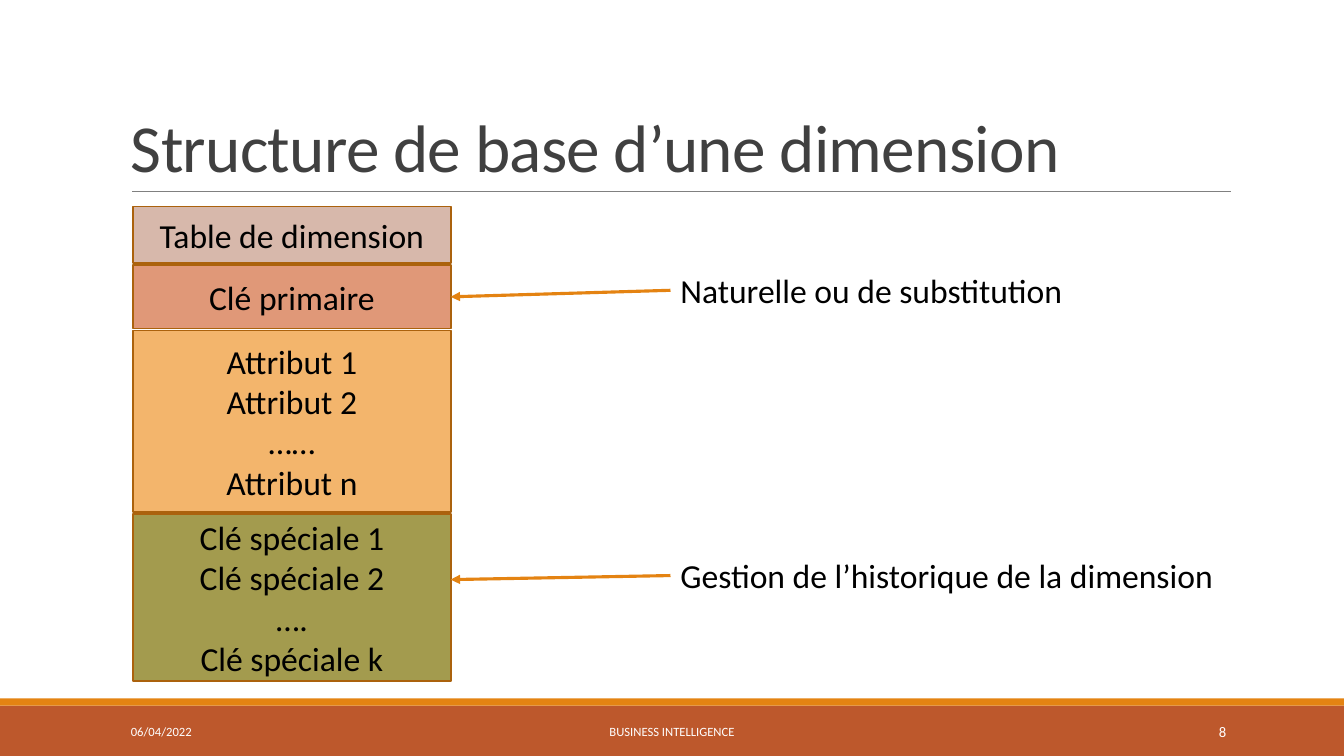
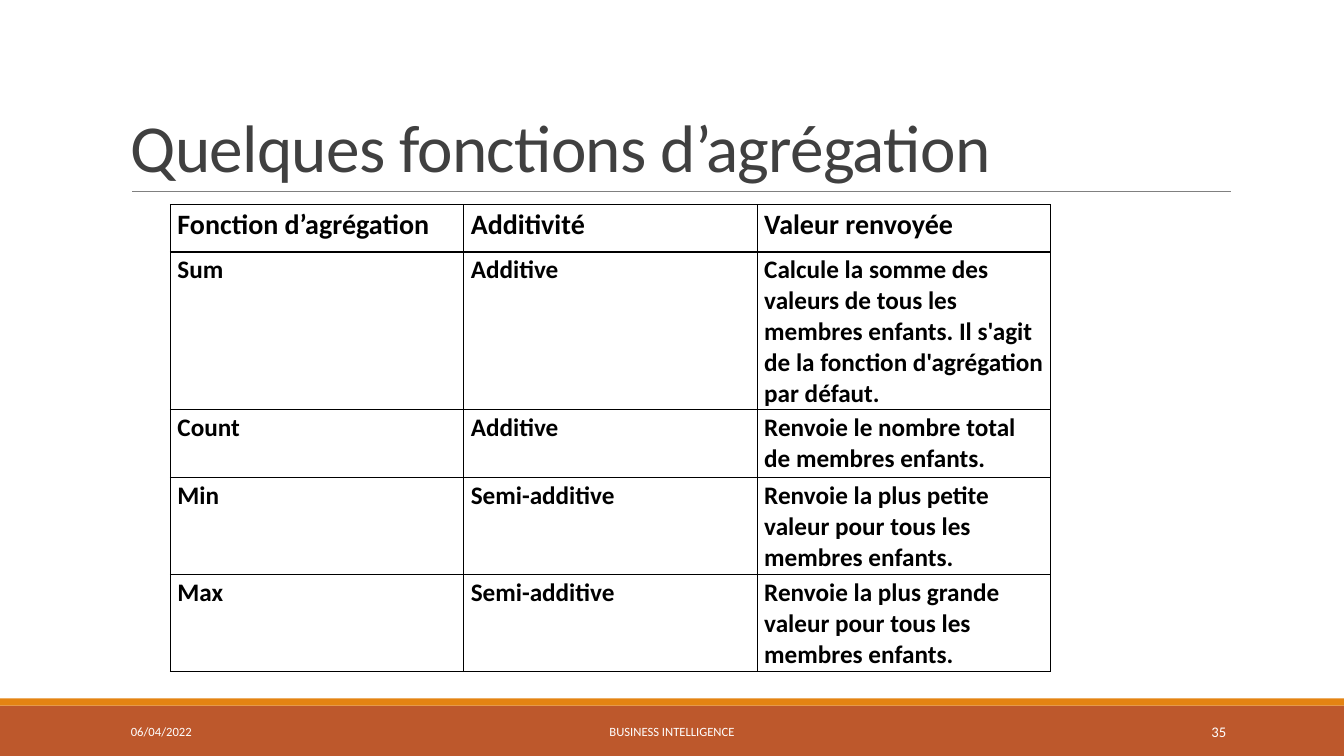
"""Build two business intelligence slides: a dimension structure and aggregation functions."""
from lxml import etree
from pptx import Presentation
from pptx import util as u
from pptx.dml.color import RGBColor
from pptx.enum import shapes, text
from pptx.oxml.ns import qn

FONT = "Calibri"
BLACK, WHITE, GREY, TITLE = "000000", "FFFFFF", "808080", "404040"
ORANGE, RUST, BROWN = "E48312", "BD582C", "AB620D"
LEFT, CENTER, RIGHT = text.PP_ALIGN.LEFT, text.PP_ALIGN.CENTER, text.PP_ALIGN.RIGHT
rgb = RGBColor.from_string


def write(tf, lines, size, color, align=LEFT, bold=False):
    """Fill a text frame with one paragraph per line."""
    tf.word_wrap = True
    for i, line in enumerate(lines):
        p = tf.paragraphs[0] if i == 0 else tf.add_paragraph()
        p.alignment = align
        r = p.add_run()
        r.text = line
        r.font.name, r.font.size, r.font.bold = FONT, u.Pt(size), bold
        r.font.color.rgb = rgb(color)


def add_line(s, start, end, color, width):
    """Add a straight line without a shadow."""
    ends = [u.Inches(v) for v in (*start, *end)]
    sp = s.shapes.add_connector(shapes.MSO_CONNECTOR.STRAIGHT, *ends)
    sp.line.color.rgb, sp.line.width = rgb(color), u.Pt(width)
    etree.SubElement(sp._element.spPr, qn("a:effectLst"))
    return sp


prs = Presentation()
prs.slide_width, prs.slide_height = u.Inches(13.33), u.Inches(7.5)

slides = []
for title, number in [("Structure de base d’une dimension", "8"),
                      ("Quelques fonctions d’agrégation", "35")]:
    s = prs.slides.add_slide(prs.slide_layouts[6])
    slides.append(s)
    for top, height, color in [(7, 0.5, RUST), (6.93, 0.07, ORANGE)]:
        sp = s.shapes.add_shape(shapes.MSO_SHAPE.RECTANGLE, 0, u.Inches(top),
                                prs.slide_width, u.Inches(height))
        sp.shadow.inherit = False
        sp.fill.solid()
        sp.fill.fore_color.rgb = rgb(color)
        sp.line.fill.background()
    add_line(s, (1.31, 1.9), (12.21, 1.9), GREY, 0.5)

    tf = s.shapes.add_textbox(u.Inches(1.2), u.Inches(0.31), u.Inches(11), u.Inches(1.59)).text_frame
    tf.vertical_anchor = text.MSO_ANCHOR.BOTTOM
    write(tf, [title], 48, TITLE)
    p = tf.paragraphs[0]
    p.line_spacing = 0.85
    p.runs[0].font._element.set("spc", "-50")

    for left, width, words, size, align in [(1.2, 2.7, "06/04/2022", 9, LEFT),
                                            (4.03, 5.27, "BUSINESS INTELLIGENCE", 9, CENTER),
                                            (10.83, 1.43, number, 10.5, RIGHT)]:
        tf = s.shapes.add_textbox(u.Inches(left), u.Inches(7.06), u.Inches(width), u.Inches(0.4)).text_frame
        tf.vertical_anchor = text.MSO_ANCHOR.MIDDLE
        write(tf, [words], size, WHITE, align)

structure, functions = slides

block_left, block_width, gap = 1.32, 3.15, 0.02
block_right = block_left + block_width
top = 2.05
group = structure.shapes.add_group_shape()
blocks = []
for height, color, lines in [
        (0.56, "D7B8AB", ["Table de dimension"]),
        (0.63, "E09878", ["Clé primaire"]),
        (1.8, "F3B56C", ["Attribut 1", "Attribut 2", "……", "Attribut n"]),
        (1.66, "A39B4E", ["Clé spéciale 1", "Clé spéciale 2", "….", "Clé spéciale k"])]:
    sp = group.shapes.add_shape(shapes.MSO_SHAPE.RECTANGLE, u.Inches(block_left), u.Inches(top),
                                u.Inches(block_width), u.Inches(height))
    sp.shadow.inherit = False
    sp.fill.solid()
    sp.fill.fore_color.rgb = rgb(color)
    sp.line.color.rgb, sp.line.width = rgb(BROWN), u.Pt(1.25)
    sp.text_frame.vertical_anchor = text.MSO_ANCHOR.MIDDLE
    write(sp.text_frame, lines, 24, BLACK, CENTER)
    blocks.append(sp)
    top += height + gap

label_left = 6.65
arrows = []
for label_top, width, words, tip in [
        (2.63, 4.37, "Naturelle ou de substitution", 2.94),
        (5.46, 5.82, "Gestion de l’historique de la dimension", 5.75)]:
    label = structure.shapes.add_textbox(u.Inches(label_left), u.Inches(label_top),
                                         u.Inches(width), u.Inches(0.5))
    write(label.text_frame, [words], 24, BLACK)
    label.text_frame.word_wrap = False
    label.text_frame.auto_size = text.MSO_AUTO_SIZE.SHAPE_TO_FIT_TEXT
    arrow = add_line(structure, (label_left, label_top + 0.25), (block_right, tip), ORANGE, 2.25)
    arrow.begin_connect(label, 1)
    etree.SubElement(arrow.line._get_or_add_ln(), qn("a:tailEnd"), type="triangle")
    arrows.append(arrow)
arrows[0].end_connect(blocks[1], 3)

rows = [
    ("Fonction d’agrégation", "Additivité", "Valeur renvoyée"),
    ("Sum", "Additive", "Calcule la somme des valeurs de tous les membres enfants. "
     "Il s'agit de la fonction d'agrégation par défaut."),
    ("Count", "Additive", "Renvoie le nombre total de membres enfants."),
    ("Min", "Semi-additive", "Renvoie la plus petite valeur pour tous les membres enfants."),
    ("Max", "Semi-additive", "Renvoie la plus grande valeur pour tous les membres enfants."),
]
heights = [0.47, 1.49, 0.68, 0.88, 0.88]
table = functions.shapes.add_table(len(rows), 3, u.Inches(1.69), u.Inches(2.03),
                                   u.Inches(8.74), u.Inches(sum(heights))).table
table.horz_banding = False
for column in table.columns:
    column.width = u.Inches(2.91)
for i, (row, height) in enumerate(zip(rows, heights)):
    table.rows[i].height = u.Inches(height)
    for j, words in enumerate(row):
        cell = table.cell(i, j)
        cell.margin_left = cell.margin_right = u.Inches(0.07)
        cell.margin_top = cell.margin_bottom = u.Inches(0.03)
        cell.fill.solid()
        cell.fill.fore_color.rgb = rgb(WHITE)
        write(cell.text_frame, [words], 20 if i == 0 else 18, BLACK, bold=True)
        tcPr = cell._tc.get_or_add_tcPr()
        for k, side in enumerate(("lnL", "lnR", "lnT", "lnB")):
            ln = etree.Element(qn(f"a:{side}"), w=str(u.Pt(1)))
            fill = etree.SubElement(ln, qn("a:solidFill"))
            etree.SubElement(fill, qn("a:srgbClr"), val=BLACK)
            tcPr.insert(k, ln)

prs.save("out.pptx")
